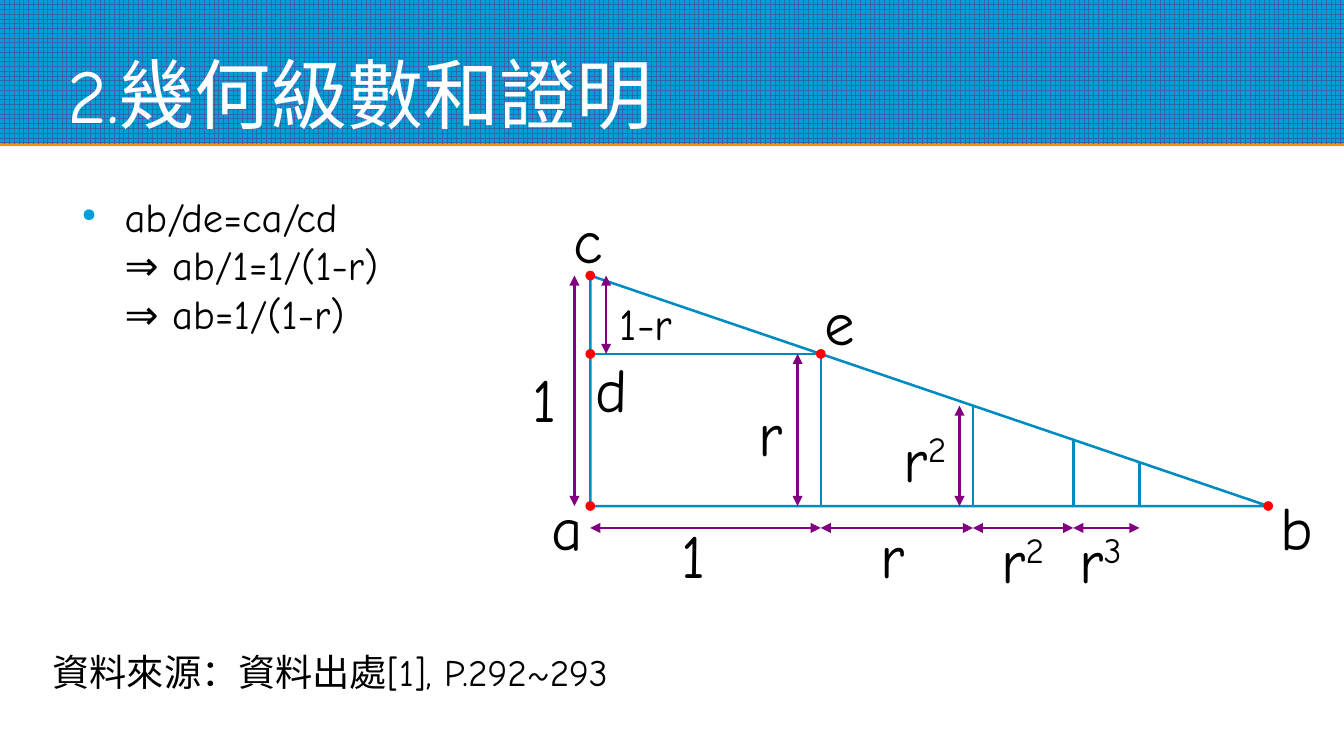
from lxml.etree import SubElement
from pptx import Presentation
from pptx.dml.color import RGBColor
from pptx.enum.dml import MSO_PATTERN
from pptx.enum.shapes import MSO_CONNECTOR, MSO_SHAPE
from pptx.enum.text import MSO_ANCHOR, MSO_AUTO_SIZE, PP_ALIGN
from pptx.oxml.ns import qn
from pptx.util import Inches, Pt

WIDTH, HEIGHT = 11.02, 6.2
BAND = 0.19 * HEIGHT
MARGIN = 0.05 * WIDTH
FONT = "Comic Neue"
COLORS = {
    "band": "009EDA", "grid": "3465A4", "edge": "F49100", "title": "FFFFFF",
    "text": "000000", "line": "008AC2", "arrow": "800080", "dot": "FF0000",
}

# The triangle: height 1 unit, squares shrinking by the ratio
UNIT, RATIO = 1.89, 0.66
LEFT, BASE = 4.84, 4.15
TOP, RIGHT = BASE - UNIT, LEFT + UNIT / (1 - RATIO)
SIDES = [UNIT * RATIO ** power for power in range(5)]
STOPS = [LEFT + sum(SIDES[:count]) for count in range(5)]


def color(name):
    return RGBColor.from_string(COLORS[name])


def inches(*lengths):
    return [Inches(length) for length in lengths]


def format_text(frame, size, name="text", anchor=MSO_ANCHOR.MIDDLE, inset=0.04):
    frame.word_wrap = True
    frame.auto_size = MSO_AUTO_SIZE.NONE
    frame.vertical_anchor = anchor
    frame.margin_left = frame.margin_right = Inches(inset)
    frame.margin_top = frame.margin_bottom = Inches(inset)
    for para in frame.paragraphs:
        para.alignment = PP_ALIGN.LEFT
        for span in para.runs:
            span.font.name, span.font.size = FONT, Pt(size)
            span.font.color.rgb = color(name)


def add_text(slide, place, text, size, **style):
    box = slide.shapes.add_textbox(*inches(*place))
    box.text_frame.text = text
    format_text(box.text_frame, size, **style)
    return box


def add_label(slide, left, top, text, power="", size=36):
    box = add_text(slide, (left, top, 0.65, 0.53), text, size)
    if power:
        span = box.text_frame.paragraphs[0].add_run()
        span.text = power
        format_text(box.text_frame, size)
        span.font._element.set("baseline", "33000")


def add_shape(slide, kind, place, fill):
    shape = slide.shapes.add_shape(kind, *inches(*place))
    shape.shadow.inherit = False
    shape.fill.solid()
    shape.fill.fore_color.rgb = color(fill)
    shape.line.fill.background()
    return shape


def add_line(slide, start, end, name="line"):
    """Draw a straight line; measuring lines get a head at both ends."""
    line = slide.shapes.add_connector(MSO_CONNECTOR.STRAIGHT, *inches(*start, *end))
    line.line.color.rgb = color(name)
    line.line.width = Pt(1.5)
    if name == "arrow":
        for end_tag in ("a:headEnd", "a:tailEnd"):
            SubElement(line.line._get_or_add_ln(), qn(end_tag), type="triangle")
    SubElement(line._element.spPr, qn("a:effectLst"))


def add_dot(slide, x, y, size=0.08):
    add_shape(slide, MSO_SHAPE.OVAL, (x - size / 2, y - size / 2, size, size), "dot")


def add_header(slide, text):
    edge = add_shape(slide, MSO_SHAPE.RECTANGLE, (0, BAND, WIDTH, 0.02), "edge")
    band = add_shape(slide, MSO_SHAPE.RECTANGLE, (0, 0, WIDTH, BAND), "band")
    band.fill.patterned()
    band.fill.pattern = MSO_PATTERN.LARGE_GRID
    band.fill.fore_color.rgb = color("grid")
    band.fill.back_color.rgb = color("band")
    title = slide.shapes.title
    title.left, title.top, title.width, title.height = inches(
        MARGIN, 0.1, WIDTH - 2 * MARGIN, 1.04)
    title.text_frame.text = text
    format_text(title.text_frame, 45, "title", MSO_ANCHOR.BOTTOM, 0)
    for shape in (band, edge):  # behind the title
        slide.shapes._spTree.insert(2, shape._element)


def add_proof(slide, lines):
    box = add_text(slide, (MARGIN, 1.57, 4.61, 3.83), "\v".join(lines), 24,
                   anchor=MSO_ANCHOR.TOP, inset=0)
    para = box.text_frame.paragraphs[0]
    para.space_after = Pt(10.5)
    props = para._p.get_or_add_pPr()
    props.set("marL", str(Inches(0.47)))
    props.set("indent", str(Inches(-0.35)))
    SubElement(SubElement(props, qn("a:buClr")), qn("a:srgbClr"), val=COLORS["band"])
    SubElement(props, qn("a:buSzPct"), val="45000")
    SubElement(props, qn("a:buChar"), char="●")


def add_triangle(slide):
    builder = slide.shapes.build_freeform(*inches(LEFT, TOP), scale=1.0)
    builder.add_line_segments([inches(RIGHT, BASE), inches(LEFT, BASE)], close=True)
    triangle = builder.convert_to_shape()
    triangle.shadow.inherit = False
    triangle.fill.background()
    triangle.line.color.rgb = color("line")
    triangle.line.width = Pt(1.5)
    for stop, side in zip(STOPS[1:], SIDES[1:]):
        add_line(slide, (stop, BASE), (stop, BASE - side))
    shelf = BASE - SIDES[1]
    add_line(slide, (LEFT, shelf), (STOPS[1], shelf))
    for x, y in [(LEFT, BASE), (RIGHT, BASE), (LEFT, TOP), (LEFT, shelf),
                 (STOPS[1], shelf)]:
        add_dot(slide, x, y)


def add_measures(slide):
    for start, end in zip(STOPS, STOPS[1:]):
        add_line(slide, (start, BASE + 0.18), (end, BASE + 0.18), "arrow")
    shelf = BASE - SIDES[1]
    for x, bottom, top in [(LEFT - 0.13, BASE, TOP), (LEFT + 0.13, shelf, TOP),
                           (STOPS[1] - 0.19, BASE, shelf),
                           (STOPS[2] - 0.11, BASE, BASE - SIDES[2])]:
        add_line(slide, (x, bottom), (x, top), "arrow")


def add_labels(slide):
    for left, top, *text in [
        (4.48, 4.05, "a"), (10.46, 4.05, "b"), (4.66, 1.7, "c"),
        (4.84, 2.92, "d"), (6.72, 2.37, "e"),
        (5.55, 4.28, "1"), (7.18, 4.28, "r"),
        (8.17, 4.32, "r", "2"), (8.81, 4.32, "r", "3"),
        (4.33, 3, "1"), (6.18, 3.28, "r"), (7.37, 3.49, "r", "2"),
    ]:
        add_label(slide, left, top, *text)
    add_label(slide, 5.04, 2.38, "1-r", size=26)


def main():
    deck = Presentation()
    deck.slide_width, deck.slide_height = inches(WIDTH, HEIGHT)
    slide = deck.slides.add_slide(deck.slide_layouts[5])
    add_header(slide, "2.幾何級數和證明")
    add_proof(slide, ["ab/de=ca/cd", "⇒ ab/1=1/(1-r)", "⇒ ab=1/(1-r)"])
    add_triangle(slide)
    add_measures(slide)
    add_labels(slide)
    add_text(slide, (0.39, 5.26, 6.1, 0.5), "資料來源：資料出處[1], P.292~293", 22)
    deck.save("out.pptx")


if __name__ == "__main__":
    main()
